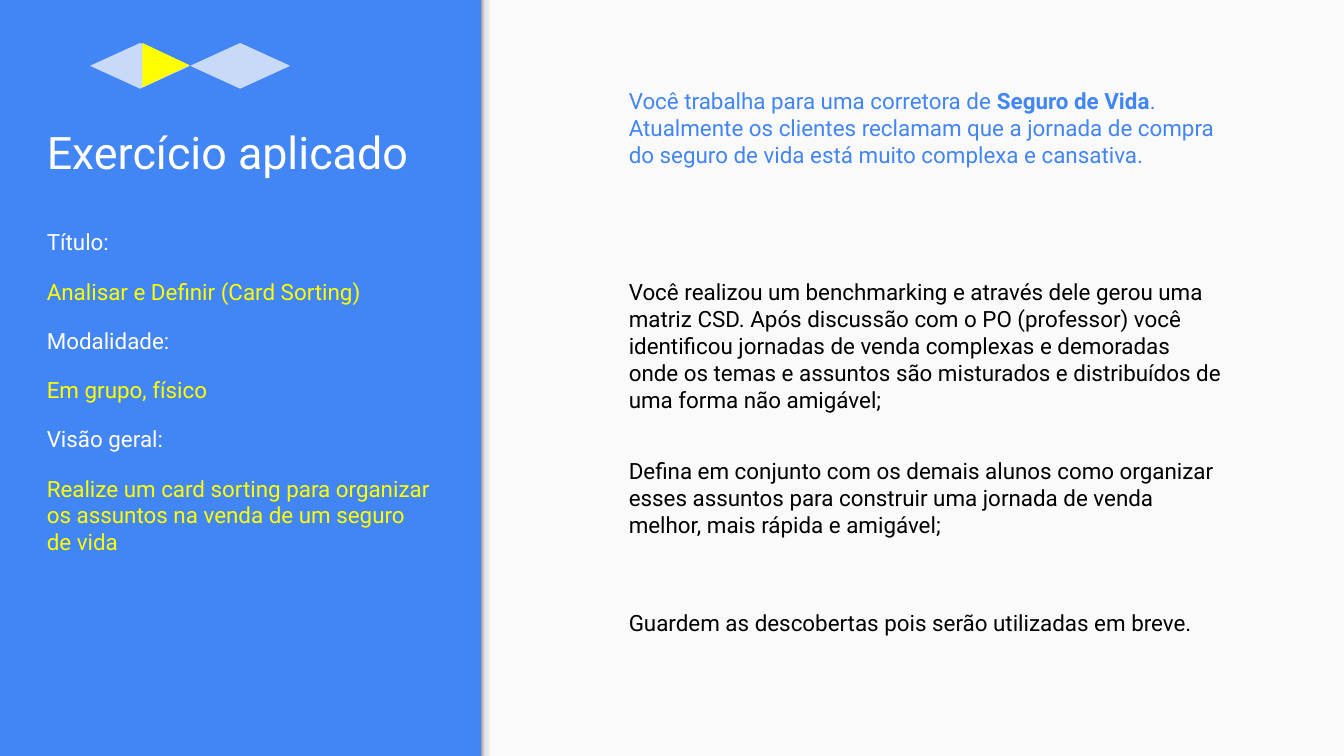
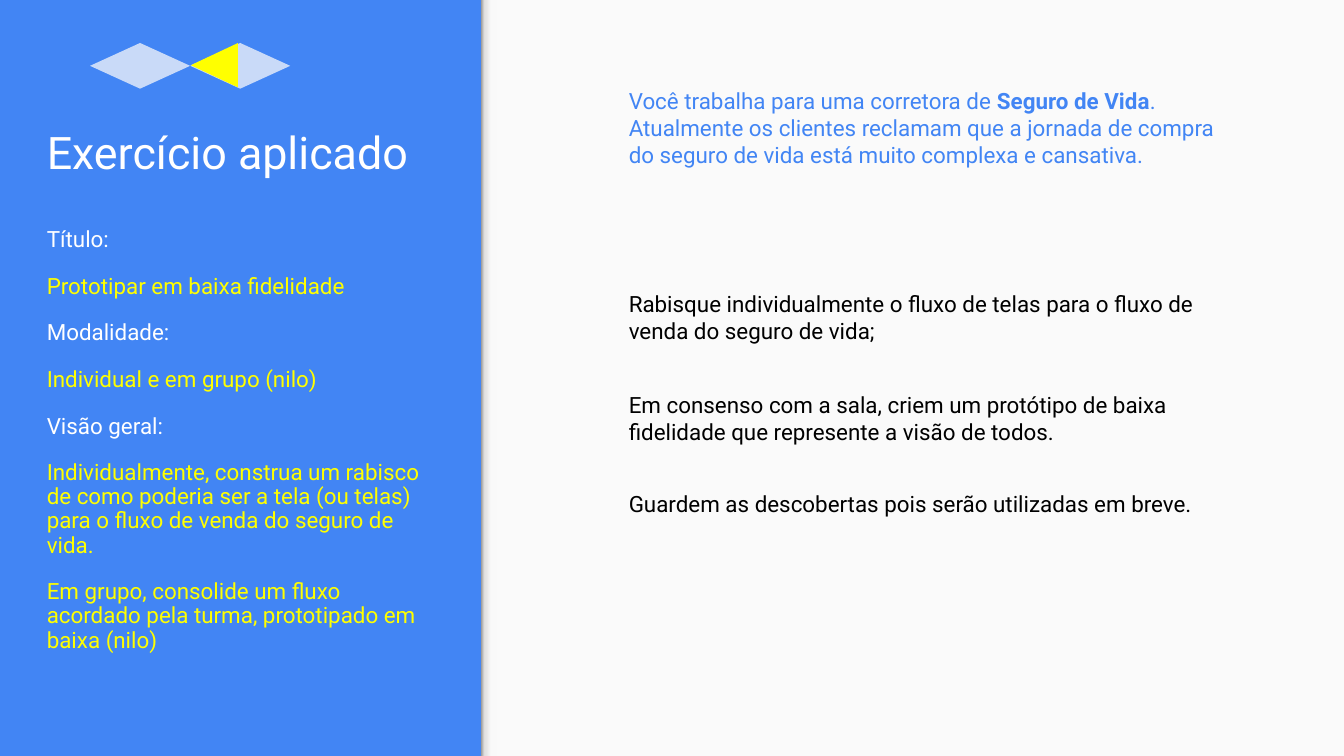
from dataclasses import dataclass
from typing import Optional

from lxml import etree
from pptx import Presentation
from pptx import util as u
from pptx.dml.color import RGBColor
from pptx.enum import shapes, text
from pptx.oxml.ns import qn

WIDTH = u.Inches(10)
HEIGHT = WIDTH * 9 // 16
COLUMNS, ROWS = 100, 56.25

BLUE, PALE_BLUE, YELLOW = "4285F4", "C9DAF8", "FFFF00"
WHITE, PAPER, BLACK = "FFFFFF", "FAFAFA", "000000"
EDGE_STOPS = ((0, "999999"), (20, "DEDEDE"), (64, "F9F9F9"), (100, "F9F9F9"))
FONT = "Roboto"
TITLE = "Exercício aplicado"
CLOSING = "Guardem as descobertas pois serão utilizadas em breve."


@dataclass(frozen=True)
class Area:
    column: float
    row: float
    columns: float
    rows: float

    def place(self) -> tuple[int, int, int, int]:
        return (
            round(WIDTH * self.column / COLUMNS),
            round(HEIGHT * self.row / ROWS),
            round(WIDTH * self.columns / COLUMNS),
            round(HEIGHT * self.rows / ROWS),
        )


@dataclass(frozen=True)
class Span:
    words: str
    color: str = BLACK
    size: float = 12
    bold: bool = False


@dataclass(frozen=True)
class Para:
    spans: tuple[Span, ...]
    before: float = 0
    after: float = 0
    spacing: Optional[float] = None


@dataclass(frozen=True)
class Step:
    row: float
    lines: int
    words: str


@dataclass(frozen=True)
class Exercise:
    stage_column: float
    stage_rotation: int
    name: str
    mode: str
    overview: tuple[str, ...]
    steps: tuple[Step, ...]
    spacing: Optional[float] = None


PANEL = Area(35.8, 0, 64.2, ROWS)
PANEL_EDGE = Area(35.8, 0, 1.2, ROWS)
TITLE_AREA = Area(2.5, 3.9, 30.7, 10.4)
FACTS_AREA = Area(2.5, 16, 30.7, 34.6)
DIAMOND = Area(6.7, 3.2, 7.45, 3.4)
CONTEXT = (
    Span("Você trabalha para uma corretora de ", BLUE),
    Span("Seguro de Vida", BLUE, bold=True),
    Span(
        ". Atualmente os clientes reclamam que a jornada de compra "
        "do seguro de vida está muito complexa e cansativa.",
        BLUE,
    ),
)

EXERCISES = (
    Exercise(
        10.7, 90,
        "Analisar e Definir (Card Sorting)",
        "Em grupo, físico",
        ("Realize um card sorting para organizar os assuntos na venda de um seguro de vida",),
        (
            Step(19.7, 5,
                 "Você realizou um benchmarking e através dele gerou uma matriz CSD. "
                 "Após discussão com o PO (professor) você identificou jornadas de venda "
                 "complexas e demoradas onde os temas e assuntos são misturados e "
                 "distribuídos de uma forma não amigável;"),
            Step(33, 3,
                 "Defina em conjunto com os demais alunos como organizar esses assuntos "
                 "para construir uma jornada de venda melhor, mais rápida e amigável;"),
            Step(44.3, 1, CLOSING),
        ),
    ),
    Exercise(
        14.3, 270,
        "Prototipar em baixa fidelidade",
        "Individual e em grupo (nilo)",
        (
            "Individualmente, construa um rabisco de como poderia ser a tela (ou telas) "
            "para o fluxo de venda do seguro de vida.",
            "Em grupo, consolide um fluxo acordado pela turma, prototipado em baixa (nilo)",
        ),
        (
            Step(20.6, 2,
                 "Rabisque individualmente o fluxo de telas para o fluxo de venda do seguro de vida;"),
            Step(28.1, 2,
                 "Em consenso com a sala, criem um protótipo de baixa fidelidade "
                 "que represente a visão de todos."),
            Step(35.5, 1, CLOSING),
        ),
        spacing=0.9,
    ),
)


def paint(target, color: str) -> None:
    target.solid()
    target.fore_color.rgb = RGBColor.from_string(color)


def apply_format(target, values: dict) -> None:
    for name, value in values.items():
        setattr(target, name, value)


def add_figure(page, kind, area: Area, color: str, rotation: float = 0):
    figure = page.shapes.add_shape(kind, *area.place())
    figure.shadow.inherit = False
    figure.rotation = rotation
    figure.line.fill.background()
    paint(figure.fill, color)
    return figure


def add_text(page, area: Area, paras: list[Para], anchor=text.MSO_ANCHOR.TOP) -> None:
    frame = page.shapes.add_textbox(*area.place()).text_frame
    inset = u.Inches(0.1)
    apply_format(frame, {
        "word_wrap": True,
        "auto_size": text.MSO_AUTO_SIZE.NONE,
        "vertical_anchor": anchor,
        "margin_left": inset,
        "margin_right": inset,
        "margin_top": inset,
        "margin_bottom": inset,
    })
    for index, para in enumerate(paras):
        line = frame.add_paragraph() if index else frame.paragraphs[0]
        apply_format(line, {
            "space_before": u.Pt(para.before),
            "space_after": u.Pt(para.after),
            "line_spacing": para.spacing,
        })
        for span in para.spans:
            run = line.add_run()
            run.text = span.words
            apply_format(run.font, {"name": FONT, "size": u.Pt(span.size), "bold": span.bold})
            paint(run.font.fill, span.color)


def add_panel(page) -> None:
    paint(page.background.fill, BLUE)
    add_figure(page, shapes.MSO_SHAPE.RECTANGLE, PANEL, PAPER)
    edge = add_figure(page, shapes.MSO_SHAPE.RECTANGLE, PANEL_EDGE, PAPER)
    edge.fill.gradient()
    edge.fill.gradient_angle = 0
    stops = edge.element.spPr.find(qn("a:gradFill")).find(qn("a:gsLst"))
    for stop in list(stops):
        stops.remove(stop)
    for position, color in EDGE_STOPS:
        stop = etree.SubElement(stops, qn("a:gs"), pos=str(position * 1000))
        etree.SubElement(stop, qn("a:srgbClr"), val=color)


def add_stages(page, exercise: Exercise) -> None:
    for index in range(2):
        column = DIAMOND.column + index * DIAMOND.columns
        area = Area(column, DIAMOND.row, DIAMOND.columns, DIAMOND.rows)
        add_figure(page, shapes.MSO_SHAPE.DIAMOND, area, PALE_BLUE)
    current = Area(exercise.stage_column, 3.1, 3.3, 3.5)
    add_figure(page, shapes.MSO_SHAPE.ISOSCELES_TRIANGLE, current, YELLOW, exercise.stage_rotation)


def add_facts(page, exercise: Exercise) -> None:
    facts = (
        ("Título:", (exercise.name,)),
        ("Modalidade:", (exercise.mode,)),
        ("Visão geral:", exercise.overview),
    )
    spans = []
    for label, answers in facts:
        spans.append(Span(label, WHITE))
        spans.extend(Span(answer, YELLOW) for answer in answers)
    last = len(spans) - 1
    paras = [
        Para((span,), 12 if index else 0, 12 if index == last else 0, exercise.spacing)
        for index, span in enumerate(spans)
    ]
    add_text(page, FACTS_AREA, paras)


def add_note(page, row: float, lines: int, spans: tuple[Span, ...]) -> None:
    add_text(page, Area(45.8, row, 46.2, 2 + 2 * lines), [Para(spans)])


def add_exercise(deck, exercise: Exercise) -> None:
    page = deck.slides.add_slide(deck.slide_layouts[6])
    add_panel(page)
    add_text(page, TITLE_AREA, [Para((Span(TITLE, WHITE, 24),))], text.MSO_ANCHOR.BOTTOM)
    add_facts(page, exercise)
    for step in exercise.steps:
        add_note(page, step.row, step.lines, (Span(step.words),))
    add_stages(page, exercise)
    add_note(page, 5.5, 3, CONTEXT)


def main() -> None:
    deck = Presentation()
    apply_format(deck, {"slide_width": WIDTH, "slide_height": HEIGHT})
    for exercise in EXERCISES:
        add_exercise(deck, exercise)
    deck.save("out.pptx")


if __name__ == "__main__":
    main()
